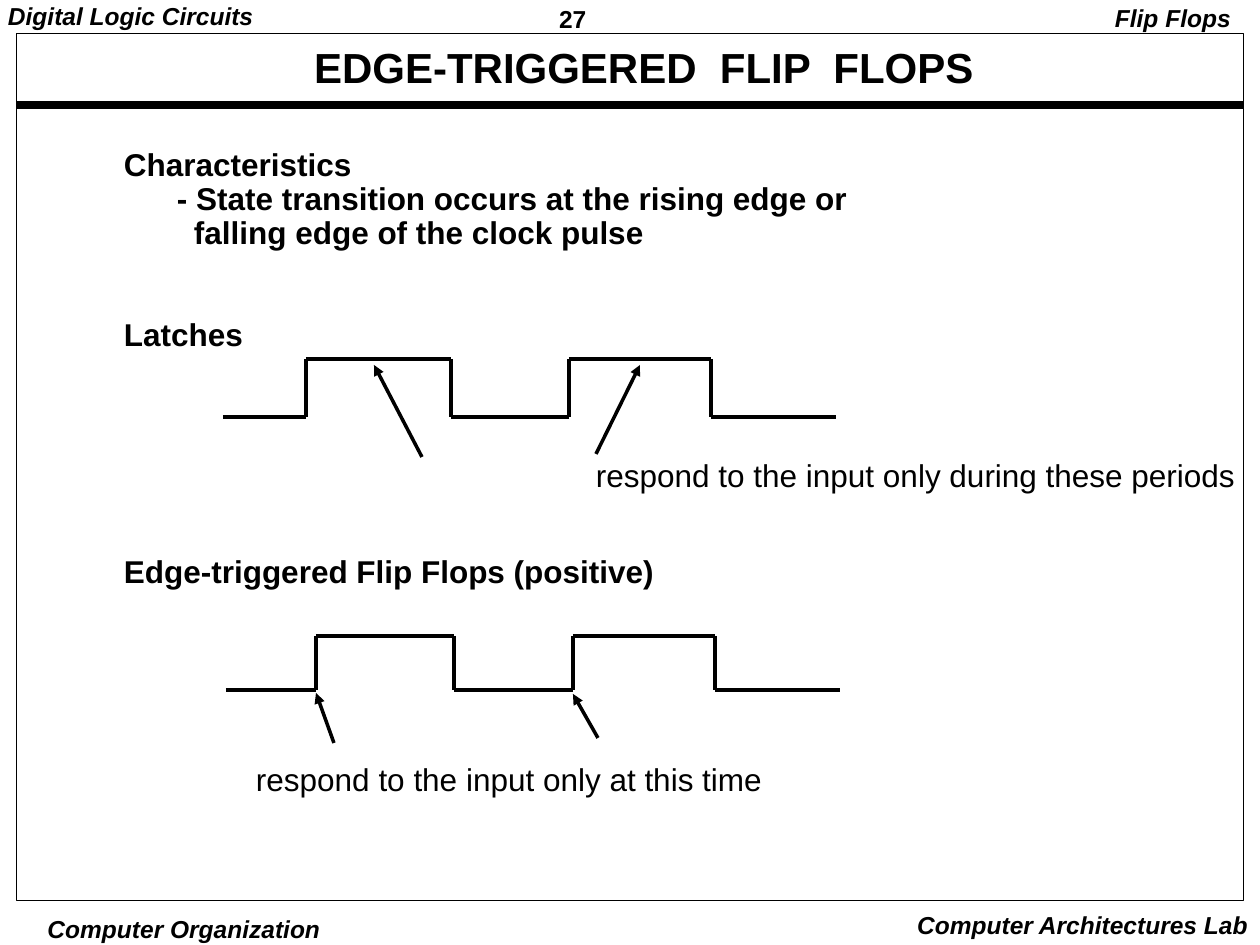
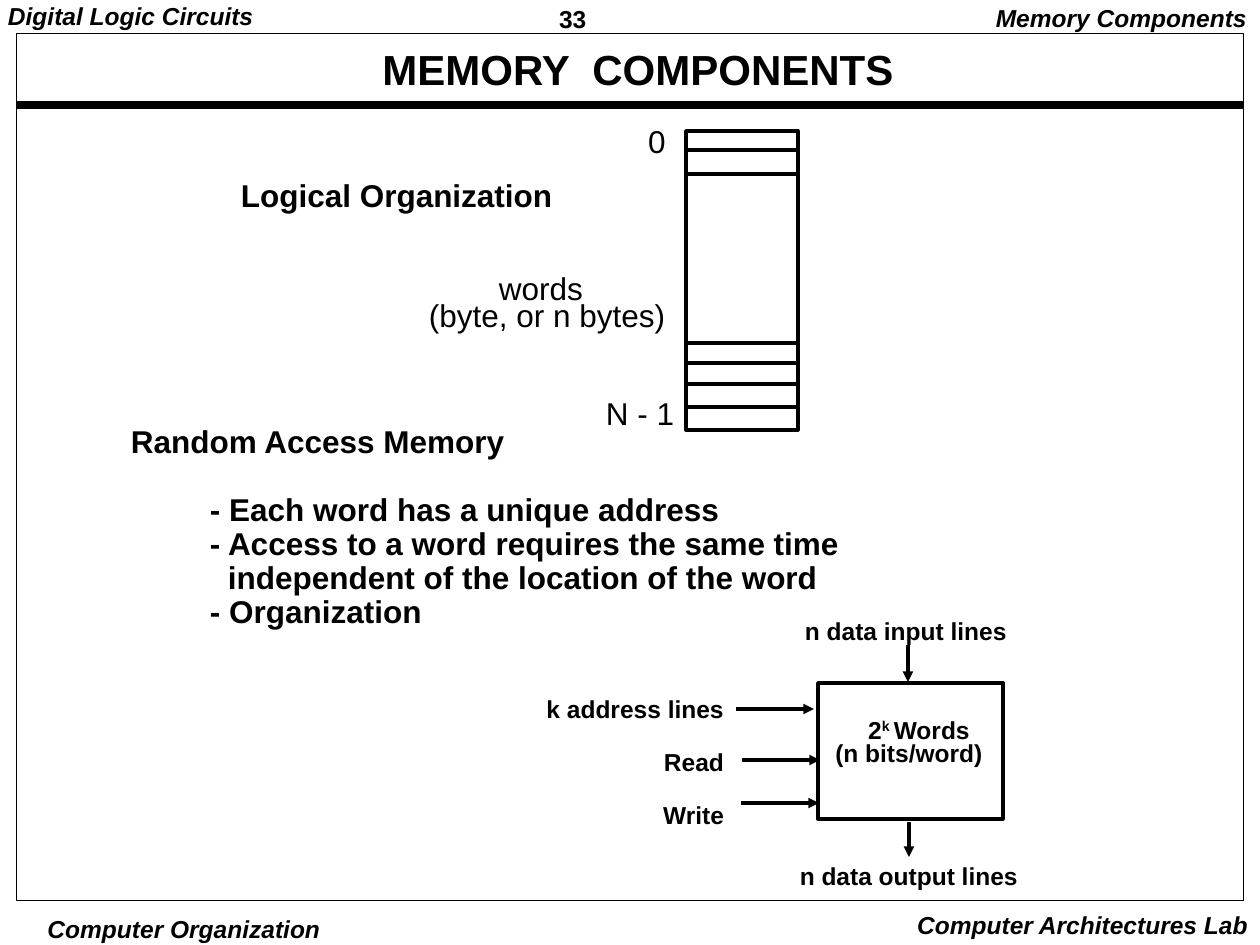
from itertools import pairwise
from pptx import Presentation
from pptx.dml.color import RGBColor
from pptx.enum.shapes import MSO_CONNECTOR, MSO_SHAPE
from pptx.enum.text import PP_ALIGN
from pptx.oxml.ns import qn
from pptx.util import Emu, Pt

PIXEL = 914400 // 126
BLACK = RGBColor.from_string("000000")
LEFT, CENTER, RIGHT = PP_ALIGN.LEFT, PP_ALIGN.CENTER, PP_ALIGN.RIGHT
BODY_GAP = 19.4
LABEL_GAP = 15.1


def add_text(slide, box, lines, size=18, bold=False, italic=False, align=LEFT, spacing=0.9):
    shape = slide.shapes.add_textbox(*[Emu(value * PIXEL) for value in box])
    frame = shape.text_frame
    frame.word_wrap = True
    frame.margin_left = frame.margin_right = frame.margin_top = frame.margin_bottom = 0
    frame.text = "\n".join(line for line, indent, gap in lines)
    for paragraph, (line, indent, gap) in zip(frame.paragraphs, lines):
        paragraph.alignment = align
        paragraph.line_spacing = spacing
        paragraph.space_before = Pt(gap)
        paragraph._p.get_or_add_pPr().set("marL", str(indent * PIXEL))
        paragraph.font.size = Pt(size)
        for run in paragraph.runs:
            run.font.name = "Arial"
            run.font.size = Pt(size)
            run.font.bold = bold
            run.font.italic = italic
            run.font.color.rgb = BLACK
    return shape


def add_line(slide, start, end, width=2, arrow=False):
    points = [Emu(value * PIXEL) for value in (*start, *end)]
    connector = slide.shapes.add_connector(MSO_CONNECTOR.STRAIGHT, *points)
    connector.line.color.rgb = BLACK
    connector.line.width = Pt(width)
    if arrow:
        tail = connector.line._get_or_add_ln().makeelement(qn("a:tailEnd"), {"type": "triangle"})
        connector.line._get_or_add_ln().append(tail)
    properties = connector._element.spPr
    properties.append(properties.makeelement(qn("a:effectLst"), {}))


presentation = Presentation()
presentation.slide_width = Emu(9144000)
presentation.slide_height = Emu(6858000)

pages = [
    ("27", "Flip Flops", 1231, "EDGE-TRIGGERED  FLIP  FLOPS", 64, 47),
    ("33", "Memory Components", 1247, "MEMORY  COMPONENTS", 58, 49),
]
slides = []
for number, topic, topic_right, title, title_left, title_top in pages:
    slide = presentation.slides.add_slide(presentation.slide_layouts[6])
    slides.append(slide)
    captions = [
        (number, (559, 4, 120, 29), False, LEFT, 1.01),
        ("Digital Logic Circuits", (8, 4, 260, 29), True, LEFT, 0.9),
        (topic, (topic_right - 300, 6, 300, 27), True, RIGHT, 0.9),
        ("Computer Organization", (40, 914, 288, 29), True, CENTER, 1),
        ("Computer Architectures Lab", (888, 910, 360, 29), True, RIGHT, 1),
    ]
    for caption, box, italic, align, spacing in captions:
        add_text(slide, box, [(caption, 0, 0)], 14, True, italic, align, spacing)
    add_line(slide, (16, 105), (1244, 105), 4.5)
    frame = slide.shapes.add_shape(
        MSO_SHAPE.RECTANGLE, *[Emu(value * PIXEL) for value in (16, 33, 1228, 868)])
    frame.shadow.inherit = False
    frame.fill.background()
    frame.line.color.rgb = BLACK
    frame.line.width = Pt(0.5)
    add_text(slide, (title_left, title_top, 1160, 46), [(title, 0, 0)], 24, True, align=CENTER)

flip_flops, memory = slides

add_text(flip_flops, (124, 149, 780, 442), [
    ("Characteristics", 0, 0),
    ("- State transition occurs at the rising edge or", 53, 0),
    ("falling edge of the clock pulse", 70, 0),
    ("Latches", 0, 2 * BODY_GAP),
    ("Edge-triggered Flip Flops (positive)", 0, 6 * BODY_GAP),
], bold=True)
add_text(flip_flops, (596, 460, 655, 34),
         [("respond to the input only during these periods", 0, 0)])
add_text(flip_flops, (256, 764, 530, 34), [("respond to the input only at this time", 0, 0)])

waves = [
    ((223, 306, 451, 569, 711, 836), 417, 359),
    ((226, 316, 454, 573, 715, 840), 690, 636),
]
for (start, rise, fall, second_rise, second_fall, end), low, high in waves:
    corners = [
        (start, low), (rise, low), (rise, high), (fall, high), (fall, low),
        (second_rise, low), (second_rise, high), (second_fall, high), (second_fall, low), (end, low),
    ]
    for corner, next_corner in pairwise(corners):
        add_line(flip_flops, corner, next_corner)

for start, end in [((422, 457), (374, 365)), ((596, 454), (640, 365)),
                   ((334, 743), (316, 693)), ((598, 738), (573, 694))]:
    add_line(flip_flops, start, end, arrow=True)

for box in [(686, 131, 112, 299), (818, 683, 185, 136)]:
    block = memory.shapes.add_shape(
        MSO_SHAPE.RECTANGLE, *[Emu(value * PIXEL) for value in box])
    block.shadow.inherit = False
    block.fill.background()
    block.line.color.rgb = BLACK
    block.line.width = Pt(2)
for row in (150, 174, 343, 363, 384, 407):
    add_line(memory, (686, row), (798, row))

add_text(memory, (241, 180, 330, 34), [("Logical Organization", 0, 0)], bold=True)
add_text(memory, (131, 426, 760, 204), [
    ("Random Access Memory", 0, 0),
    ("- Each word has a unique address", 79, BODY_GAP),
    ("- Access to a word requires the same time", 79, 0),
    ("independent of the location of the word", 97, 0),
    ("- Organization", 79, 0),
], bold=True)
for label, left, top, width in [("0", 648, 126, 30), ("words", 499, 273, 100),
                                ("(byte, or n bytes)", 429, 300, 250), ("N - 1", 606, 398, 76)]:
    add_text(memory, (left, top, width, 34), [(label, 0, 0)])

for label, center, top in [("n data input lines", 906, 619), ("(n bits/word)", 909, 741),
                           ("n data output lines", 909, 864)]:
    add_text(memory, (center - 120, top, 240, 27), [(label, 0, 0)], 14, True, align=CENTER)
capacity = add_text(memory, (859, 718, 120, 27), [("2", 0, 0)], 14, True, align=CENTER)
for part, baseline in [("k ", "30000"), ("Words", "0")]:
    run = capacity.text_frame.paragraphs[0].add_run()
    run.text = part
    run.font.name = "Arial"
    run.font.size = Pt(14)
    run.font.bold = True
    run.font.color.rgb = BLACK
    run.font._element.set("baseline", baseline)
add_text(memory, (524, 697, 200, 132), [
    ("k address lines", 0, 0), ("Read", 0, LABEL_GAP), ("Write", 0, LABEL_GAP),
], 14, True, align=RIGHT)

for start, end in [((908, 645), (908, 682)), ((909, 822), (909, 857)), ((736, 709), (814, 709)),
                   ((742, 760), (820, 760)), ((741, 803), (819, 803))]:
    add_line(memory, start, end, arrow=True)

presentation.save("out.pptx")
